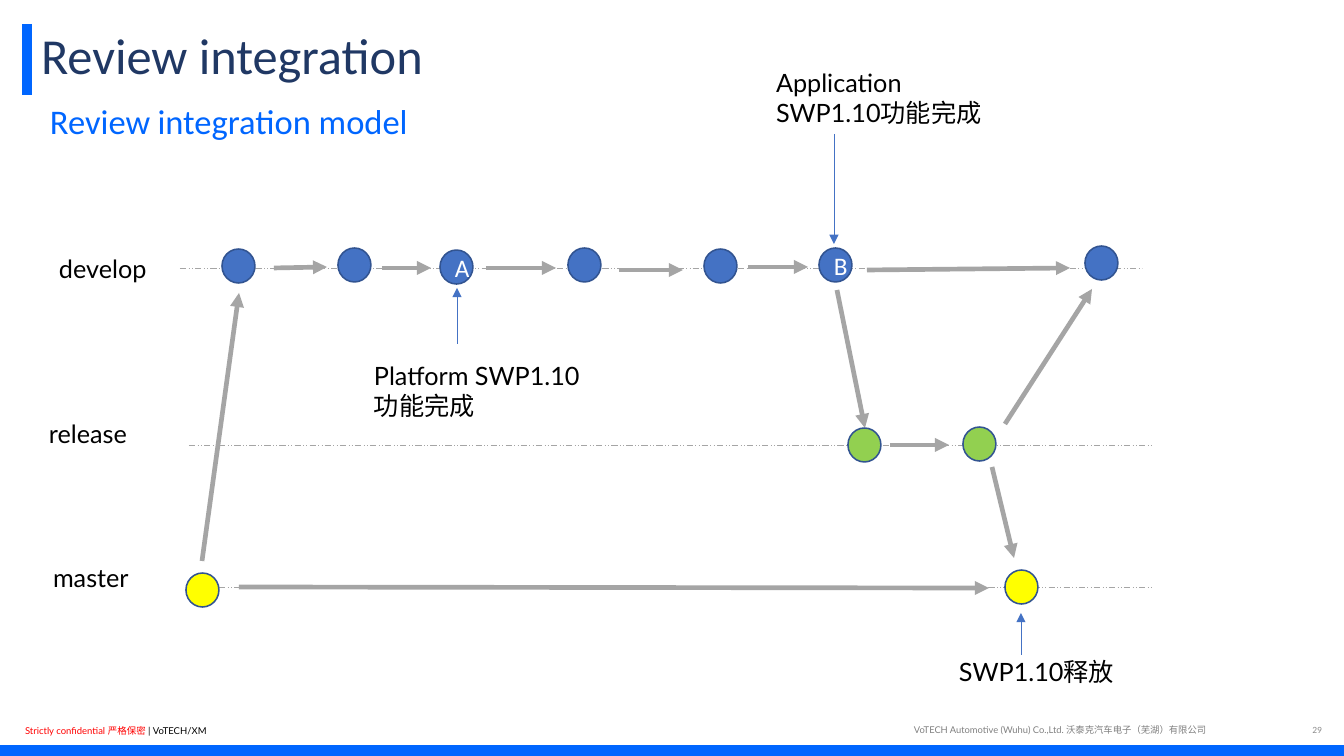
from collections import namedtuple

from lxml.etree import SubElement
from pptx import Presentation
from pptx.dml.color import RGBColor
from pptx.enum.shapes import MSO_CONNECTOR as Link, MSO_SHAPE as Shape
from pptx.enum.text import MSO_ANCHOR as Anchor, PP_ALIGN as Align
from pptx.oxml.ns import qn
from pptx.util import Pt

EMU_PER_PX = 914400 / 112

BLUE = RGBColor(0x00, 0x66, 0xFF)
NAVY = RGBColor(0x20, 0x38, 0x64)
NODE_BLUE = RGBColor(0x44, 0x72, 0xC4)
NODE_LINE = RGBColor(0x32, 0x54, 0x91)
GREEN = RGBColor(0x92, 0xD0, 0x50)
YELLOW = RGBColor(0xFF, 0xFF, 0x00)
GREY = RGBColor(0xA5, 0xA5, 0xA5)
FOOT_GREY = RGBColor(0x80, 0x80, 0x80)
NUMBER_GREY = RGBColor(0x8C, 0x8C, 0x8C)
RED = RGBColor(0xFF, 0x00, 0x00)
BLACK = RGBColor(0x00, 0x00, 0x00)
WHITE = RGBColor(0xFF, 0xFF, 0xFF)

Box = namedtuple("Box", "left top width height")
NODE_WIDTH, NODE_HEIGHT = 33, 34


def px(value):
    return round(value * EMU_PER_PX)


def write(shape, spans, anchor=Anchor.TOP, align=Align.LEFT, spacing=None):
    """Fill a shape with one paragraph of (text, size, font, colour) spans."""
    frame = shape.text_frame
    layout = {"word_wrap": True, "vertical_anchor": anchor,
              "margin_left": px(10), "margin_right": px(10),
              "margin_top": px(5), "margin_bottom": px(5)}
    for name, value in layout.items():
        setattr(frame, name, value)
    para = frame.paragraphs[0]
    para.alignment = align
    para.line_spacing = spacing
    for text, size, font, colour in spans:
        span = para.add_run()
        span.text = text
        for name, value in {"size": Pt(size), "name": font}.items():
            setattr(span.font, name, value)
        span.font.color.rgb = colour


def add_text(page, box, spans, **layout):
    write(page.shapes.add_textbox(*map(px, box)), spans, **layout)


def add_shape(page, kind, box, fill, line=None):
    shape = page.shapes.add_shape(kind, *map(px, box))
    shape.shadow.inherit = False
    shape.fill.solid()
    shape.fill.fore_color.rgb = fill
    if line is None:
        shape.line.fill.background()
    else:
        shape.line.color.rgb = line
        shape.line.width = Pt(1)
    return shape


def add_line(page, box, ends, colour, width, dash=None, arrow=False):
    """Draw a line whose ends (x1, y1, x2, y2) are relative to the box."""
    x1, y1, x2, y2 = ends
    line = page.shapes.add_connector(
        Link.STRAIGHT, px(box.left + x1), px(box.top + y1),
        px(box.left + x2), px(box.top + y2))
    line.line.color.rgb = colour
    line.line.width = Pt(width)
    properties = line.element.spPr
    stroke = properties.find(qn("a:ln"))
    if dash:
        SubElement(stroke, qn("a:prstDash"), val=dash)
    if arrow:
        SubElement(stroke, qn("a:tailEnd"), type="triangle")
    SubElement(properties, qn("a:effectLst"))


def draw_heading(page, box):
    add_line(page, box, (0, 0, 0, 71), BLUE, 6)
    title = page.shapes.title
    place = {"left": box.left + 4, "top": box.top - 2, "width": 1206, "height": 72}
    for name, value in place.items():
        setattr(title, name, px(value))
    write(title, [("Review integration", 32.4, "Calibri", NAVY)],
          anchor=Anchor.MIDDLE, spacing=0.9)
    add_text(page, Box(box.left + 13, box.top + 71, 672, 53), [
        ("Review", 22.2, "Calibri", BLUE),
        (" ", 18, "Lato", BLACK),
        ("integration model", 22.2, "Calibri", BLUE)])


def draw_footer(page, box):
    add_shape(page, Shape.RECTANGLE,
              Box(box.left, box.top + 26, box.width, 11), BLUE)
    add_text(page, Box(box.left + 15, box.top + 1, 296, 22), [
        ("Strictly confidential 严格保密 ", 6.1, "Lato", RED),
        ("| VoTECH/XM", 6.1, "Lato", BLACK)])
    add_text(page, Box(box.left + 904, box.top, 414, 22), [
        ("VoTECH Automotive (Wuhu) Co.,Ltd. 沃泰克汽车电子（芜湖）有限公司",
         6, "Lato", FOOT_GREY)])
    add_text(page, Box(box.left + 1269, box.top + 3, 63, 16),
             [("29", 6.1, "Calibri", NUMBER_GREY)],
             anchor=Anchor.MIDDLE, align=Align.RIGHT)


def draw_lane(page, box, name, label_at, colour, nodes, arrows):
    """Draw a branch: its guide line, name, commits and the arrows between."""
    middle = box.height // 2
    add_line(page, box, (0, middle, box.width, middle), GREY, 0.5,
             dash="lgDashDotDot")
    add_text(page, Box(box.left + label_at[0], box.top + label_at[1], 140, 41),
             [(name, 16.2, "Lato", BLACK)])
    for x, y, letter in nodes:
        spot = Box(box.left + x, box.top + y, NODE_WIDTH, NODE_HEIGHT)
        node = add_shape(page, Shape.OVAL, spot, colour, NODE_LINE)
        if letter:
            write(node, [(letter, 16.2, "Calibri", WHITE)],
                  anchor=Anchor.MIDDLE, align=Align.CENTER)
    for ends in arrows:
        add_line(page, box, ends, GREY, 3, arrow=True)


def draw_merges(page, box):
    for ends in ((657, 39, 685, 177), (825, 173, 912, 38),
                 (812, 216, 834, 307), (22, 310, 59, 42)):
        add_line(page, box, ends, GREY, 3, arrow=True)


def draw_callout(page, box, text, x, start, end):
    add_line(page, box, (x, start, x, end), NODE_BLUE, 0.5, arrow=True)
    add_text(page, box, [(text, 16.2, "Lato", BLACK)])


def main():
    deck = Presentation()
    deck.slide_width, deck.slide_height = px(1344), px(756)
    page = deck.slides.add_slide(deck.slide_layouts[5])

    draw_footer(page, Box(0, 719, 1344, 37))
    draw_heading(page, Box(27, 24, 1210, 124))

    # Branches
    draw_lane(page, Box(180, 251, 962, NODE_HEIGHT), "develop", (-131, -3), NODE_BLUE,
              [(42, -2, ""), (158, -3, ""), (260, -1, "A"), (388, -3, ""),
               (524, -2, ""), (639, -3, "B"), (905, -5, "")],
              [(94, 17, 147, 16), (202, 17, 251, 17), (306, 17, 376, 17),
               (439, 19, 503, 19), (568, 16, 628, 16), (687, 19, 890, 17)])
    draw_lane(page, Box(189, 428, 962, NODE_HEIGHT), "release", (-150, -15), GREEN,
              [(659, 0, ""), (774, -1, "")], [(701, 17, 760, 17)])
    draw_lane(page, Box(189, 570, 962, NODE_HEIGHT), "master", (-146, -13), YELLOW,
              [(816, 0, ""), (-3, 3, "")], [(50, 17, 800, 18)])
    draw_merges(page, Box(180, 251, 971, 353))

    # Milestones
    draw_callout(page, Box(364, 355, 245, 73), "Platform SWP1.10功能完成", 93, -11, -67)
    draw_callout(page, Box(766, 62, 226, 73), "Application SWP1.10功能完成", 68, 72, 182)
    draw_callout(page, Box(949, 651, 227, 41), "SWP1.10释放", 72, 4, -38)

    deck.save("out.pptx")


if __name__ == "__main__":
    main()
